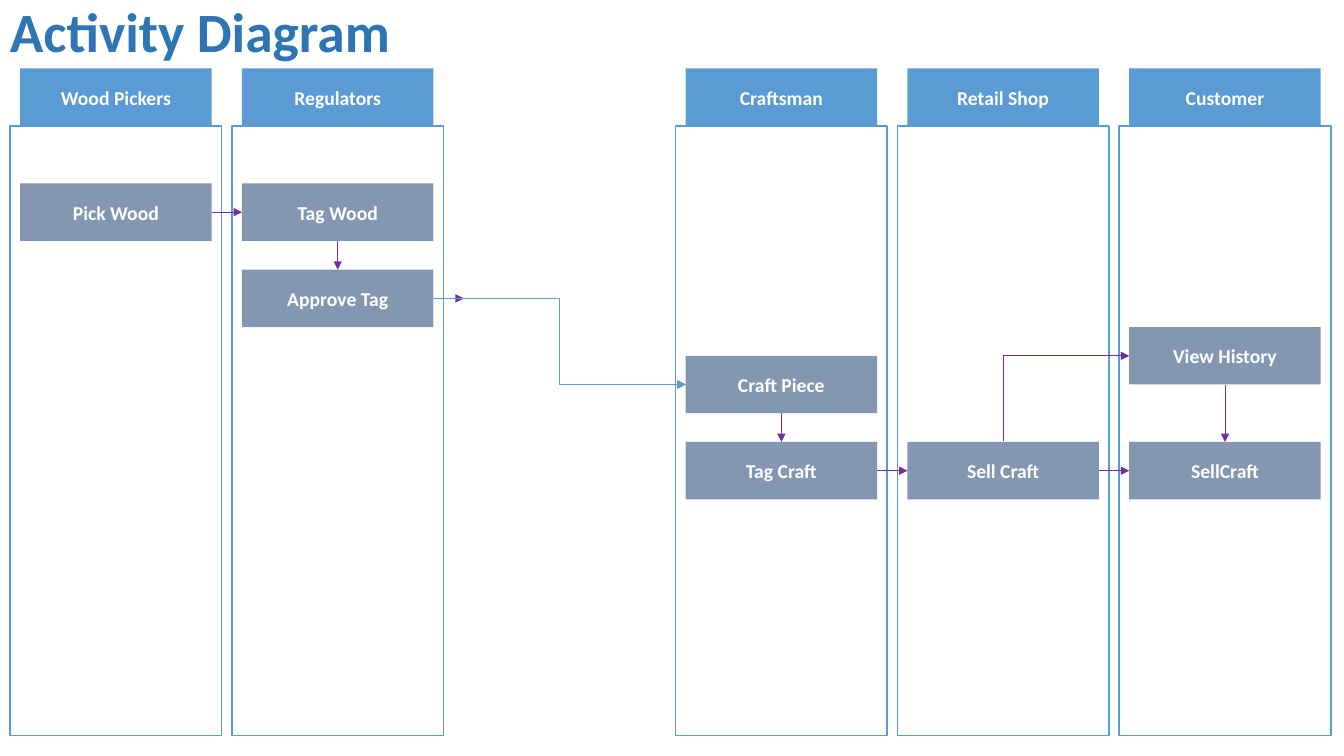
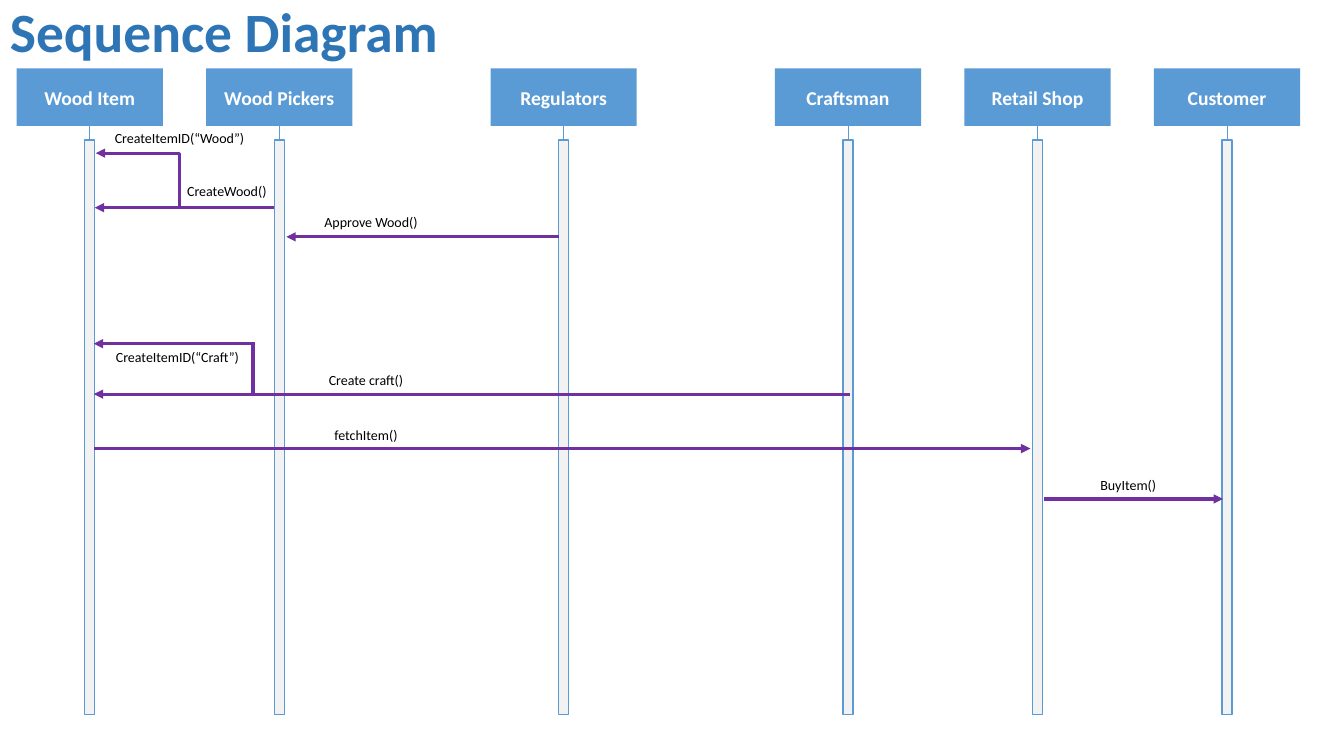
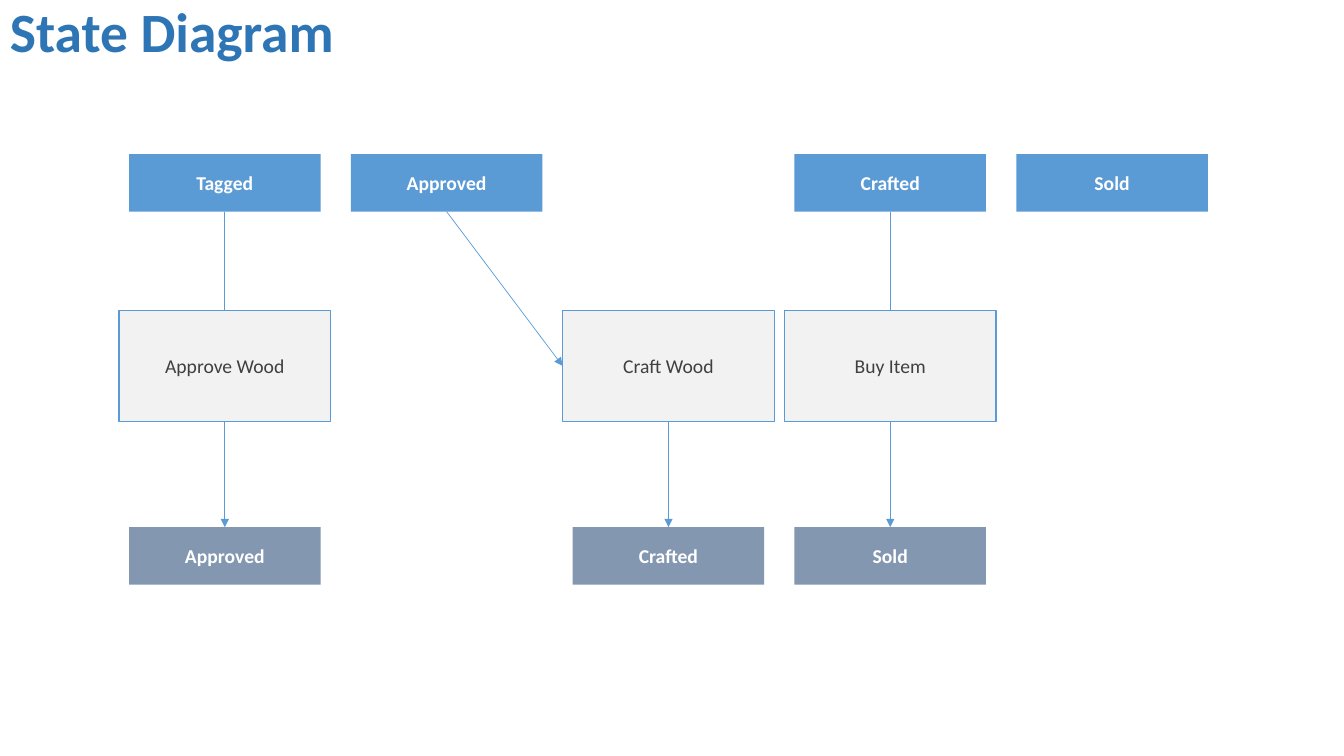
"""Build the activity, sequence and state diagram slides."""
from lxml import etree
from pptx import Presentation
from pptx import util as u
from pptx.dml import color
from pptx.enum import shapes as kinds, text
from pptx.oxml import ns

TITLE_BLUE = color.RGBColor(0x2E, 0x75, 0xB6)
BLUE = color.RGBColor(0x5B, 0x9B, 0xD5)
SLATE = color.RGBColor(0x84, 0x97, 0xB0)
PALE = color.RGBColor(0xF2, 0xF2, 0xF2)
PURPLE = color.RGBColor(0x70, 0x30, 0xA0)
DARK = color.RGBColor(0x40, 0x40, 0x40)
WHITE = color.RGBColor(0xFF, 0xFF, 0xFF)
BLACK = color.RGBColor(0, 0, 0)

FONT = "Calibri"
HEADER_TOP = 0.68
BOX_WIDTH, BOX_HEIGHT = 1.9, 0.57
LANE_WIDTH, LANE_PITCH, LANE_INSET = 2.1, 2.2, 0.1
LABEL_WIDTH, LABEL_HEIGHT = 1.4, 0.27
BODY_TOP = HEADER_TOP + BOX_HEIGHT
TOP, LEFT, BOTTOM, RIGHT = range(4)


def write(frame, words, size, ink, bold=False, align=text.PP_ALIGN.CENTER):
    para = frame.paragraphs[0]
    para.alignment = align
    span = para.add_run()
    span.text = words
    span.font.name = FONT
    span.font.size = u.Pt(size)
    span.font.bold = bold
    span.font.color.rgb = ink
    return para


def add_page(deck, title):
    page = deck.slides.add_slide(deck.slide_layouts[6])
    box = page.shapes.add_textbox(0, 0, u.Inches(6.5), u.Inches(HEADER_TOP))
    box.text_frame.word_wrap = True
    box.text_frame.vertical_anchor = text.MSO_ANCHOR.MIDDLE
    para = write(box.text_frame, title, 39.6, TITLE_BLUE, True, text.PP_ALIGN.LEFT)
    para.line_spacing = 0.9
    return page.shapes


def add_box(shapes, left, top, width, height, fill=None, outline=None):
    box = shapes.add_shape(kinds.MSO_SHAPE.RECTANGLE, u.Inches(left), u.Inches(top),
                           u.Inches(width), u.Inches(height))
    box.shadow.inherit = False
    if fill is None:
        box.fill.background()
    else:
        box.fill.solid()
        box.fill.fore_color.rgb = fill
    if outline is None:
        box.line.fill.background()
    else:
        box.line.color.rgb = outline
        box.line.width = u.Pt(1)
    return box


def add_caption_box(shapes, words, left, top, fill, width=BOX_WIDTH):
    box = add_box(shapes, left, top, width, BOX_HEIGHT, fill)
    box.text_frame.vertical_anchor = text.MSO_ANCHOR.MIDDLE
    write(box.text_frame, words, 14, WHITE, True)
    return box


def add_label(shapes, words, center, top):
    box = shapes.add_textbox(u.Inches(center - LABEL_WIDTH / 2), u.Inches(top),
                             u.Inches(LABEL_WIDTH), u.Inches(LABEL_HEIGHT))
    frame = box.text_frame
    frame.word_wrap = False
    frame.margin_left = frame.margin_right = 0
    write(frame, words, 10, BLACK)


def add_line(shapes, start, end, ink=PURPLE, weight=0.5, arrow=True,
             kind=kinds.MSO_CONNECTOR.STRAIGHT):
    line = shapes.add_connector(kind, *[u.Inches(value) for value in (*start, *end)])
    line.line.color.rgb = ink
    line.line.width = u.Pt(weight)
    properties = line._element.spPr
    if arrow:
        etree.SubElement(properties.find(ns.qn("a:ln")), ns.qn("a:tailEnd"), type="triangle")
    etree.SubElement(properties, ns.qn("a:effectLst"))
    return line


def join(shapes, source, source_side, target, target_side, ink=PURPLE,
         kind=kinds.MSO_CONNECTOR.STRAIGHT):
    line = add_line(shapes, (0, 0), (1, 1), ink, kind=kind)
    line.begin_connect(source, source_side)
    line.end_connect(target, target_side)


def add_corner(shapes, start, end, weight):
    """Draw an arrow that rises from start, then turns sideways to end."""
    half_width, half_height = (start[1] - end[1]) / 2, abs(end[0] - start[0]) / 2
    middle_x, middle_y = (start[0] + end[0]) / 2, (start[1] + end[1]) / 2
    left, right = middle_x - half_width, middle_x + half_width
    top, bottom = middle_y - half_height, middle_y + half_height
    if end[0] > start[0]:
        turn, ends = 90, ((right, bottom), (left, top))
    else:
        turn, ends = 270, ((left, bottom), (right, top))
    line = add_line(shapes, *ends, weight=weight, kind=kinds.MSO_CONNECTOR.ELBOW)
    properties = line._element.spPr
    properties.find(ns.qn("a:prstGeom")).set("prst", "bentConnector2")
    properties.find(ns.qn("a:xfrm")).set("rot", str(turn * 60000))


def build_activity(deck):
    shapes = add_page(deck, "Activity Diagram")
    lanes = {"Wood Pickers": 0, "Regulators": 1, "Craftsman": 3, "Retail Shop": 4, "Customer": 5}
    for name, slot in lanes.items():
        left = 0.1 + slot * LANE_PITCH
        lane = shapes.add_group_shape().shapes
        add_caption_box(lane, name, left + LANE_INSET, HEADER_TOP, BLUE)
        add_box(lane, left, BODY_TOP, LANE_WIDTH, 6.05, outline=BLUE)

    steps = [("Pick Wood", 0, 4), ("Tag Wood", 1, 4), ("Approve Tag", 1, 7),
             ("Craft Piece", 3, 10), ("Tag Craft", 3, 13), ("Sell Craft", 4, 13),
             ("SellCraft", 5, 13), ("View History", 5, 9)]
    boxes = {}
    for name, slot, row in steps:
        left = 0.1 + slot * LANE_PITCH + LANE_INSET
        boxes[name] = add_caption_box(shapes, name, left,
                                      HEADER_TOP + row * BOX_HEIGHT / 2, SLATE)

    for source, source_side, target, target_side in [
            ("Pick Wood", RIGHT, "Tag Wood", LEFT),
            ("Tag Wood", BOTTOM, "Approve Tag", TOP),
            ("Craft Piece", BOTTOM, "Tag Craft", TOP),
            ("Tag Craft", RIGHT, "Sell Craft", LEFT),
            ("Sell Craft", RIGHT, "SellCraft", LEFT),
            ("View History", BOTTOM, "SellCraft", TOP)]:
        join(shapes, boxes[source], source_side, boxes[target], target_side)
    add_line(shapes, (4.3, 2.96), (4.6, 2.96)).begin_connect(boxes["Approve Tag"], RIGHT)
    add_line(shapes, (6.5, 3.815), (6.8, 3.815)).end_connect(boxes["Craft Piece"], LEFT)
    add_corner(shapes, (9.95, 4.38), (11.2, 3.53), 0.5)
    join(shapes, boxes["Approve Tag"], RIGHT, boxes["Craft Piece"], LEFT, BLUE,
         kinds.MSO_CONNECTOR.ELBOW)


def build_sequence(deck):
    shapes = add_page(deck, "Sequence Diagram")
    header_width, bar_width, bar_top, bar_height = 1.45, 0.1, 1.39, 5.7
    lifelines = {"Wood Item": 0, "Wood Pickers": 2, "Regulators": 5,
                 "Craftsman": 8, "Retail Shop": 10, "Customer": 12}
    for name, slot in lifelines.items():
        center = 0.89 + slot * 0.94
        header = add_caption_box(shapes, name, center - header_width / 2, HEADER_TOP,
                                 BLUE, header_width)
        line = add_line(shapes, (center, BODY_TOP), (center, bar_top + bar_height),
                        BLUE, arrow=False)
        bar = add_box(shapes, center - bar_width / 2, bar_top, bar_width, bar_height,
                      PALE, BLUE)
        line.begin_connect(header, BOTTOM)
        line.end_connect(bar, BOTTOM)

    for start, end, height in [(2.72, 0.94, 2.06), (5.54, 2.84, 2.35), (8.43, 0.93, 3.91),
                               (2.53, 0.93, 3.41), (0.93, 10.22, 4.45), (10.35, 12.13, 4.95)]:
        add_line(shapes, (start, height), (end, height), weight=2.25)
    add_line(shapes, (2.51, 3.41), (2.51, 3.91), weight=2.25, arrow=False)
    add_corner(shapes, (1.78, 2.05), (0.95, 1.52), 2.25)

    for words, center, top in [("CreateItemID(“Wood”)", 1.78, 1.24),
                               ("CreateWood()", 2.25, 1.76),
                               ("Approve Wood()", 3.68, 2.07),
                               ("CreateItemID(“Craft”)", 1.76, 3.41),
                               ("Create craft()", 3.63, 3.64),
                               ("fetchItem()", 3.63, 4.18),
                               ("BuyItem()", 11.19, 4.68)]:
        add_label(shapes, words, center, top)


def build_state(deck):
    shapes = add_page(deck, "State Diagram")

    def add_states(names, top, fill):
        return {slot: add_caption_box(shapes, name, 1.28 + slot * LANE_PITCH, top, fill)
                for slot, name in names.items()}

    before = add_states({0: "Tagged", 1: "Approved", 3: "Crafted", 4: "Sold"}, 1.53, BLUE)
    after = add_states({0: "Approved", 2: "Crafted", 3: "Sold"}, 5.23, SLATE)
    for slot in (0, 3):
        join(shapes, before[slot], BOTTOM, after[slot], TOP, BLUE)
    actions = {}
    for slot, name in {0: "Approve Wood", 2: "Craft Wood", 3: "Buy Item"}.items():
        box = add_box(shapes, 1.28 + slot * LANE_PITCH - LANE_INSET, 3.08, LANE_WIDTH, 1.1,
                      PALE, BLUE)
        box.text_frame.vertical_anchor = text.MSO_ANCHOR.MIDDLE
        write(box.text_frame, name, 14, DARK)
        actions[slot] = box
    join(shapes, before[1], BOTTOM, actions[2], LEFT, BLUE)
    join(shapes, actions[2], BOTTOM, after[2], TOP, BLUE)


def main():
    deck = Presentation()
    deck.slide_width, deck.slide_height = u.Inches(13.33), u.Inches(7.5)
    build_activity(deck)
    build_sequence(deck)
    build_state(deck)
    deck.save("out.pptx")


if __name__ == "__main__":
    main()
